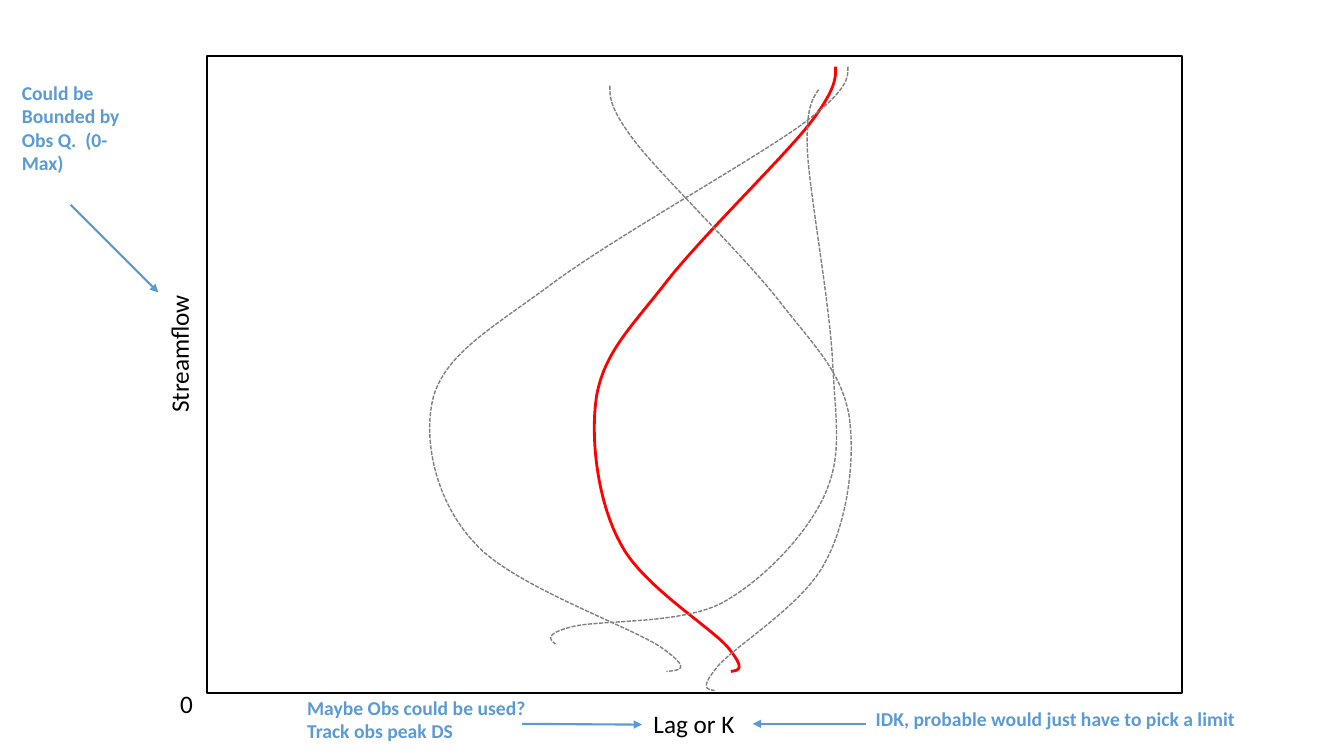
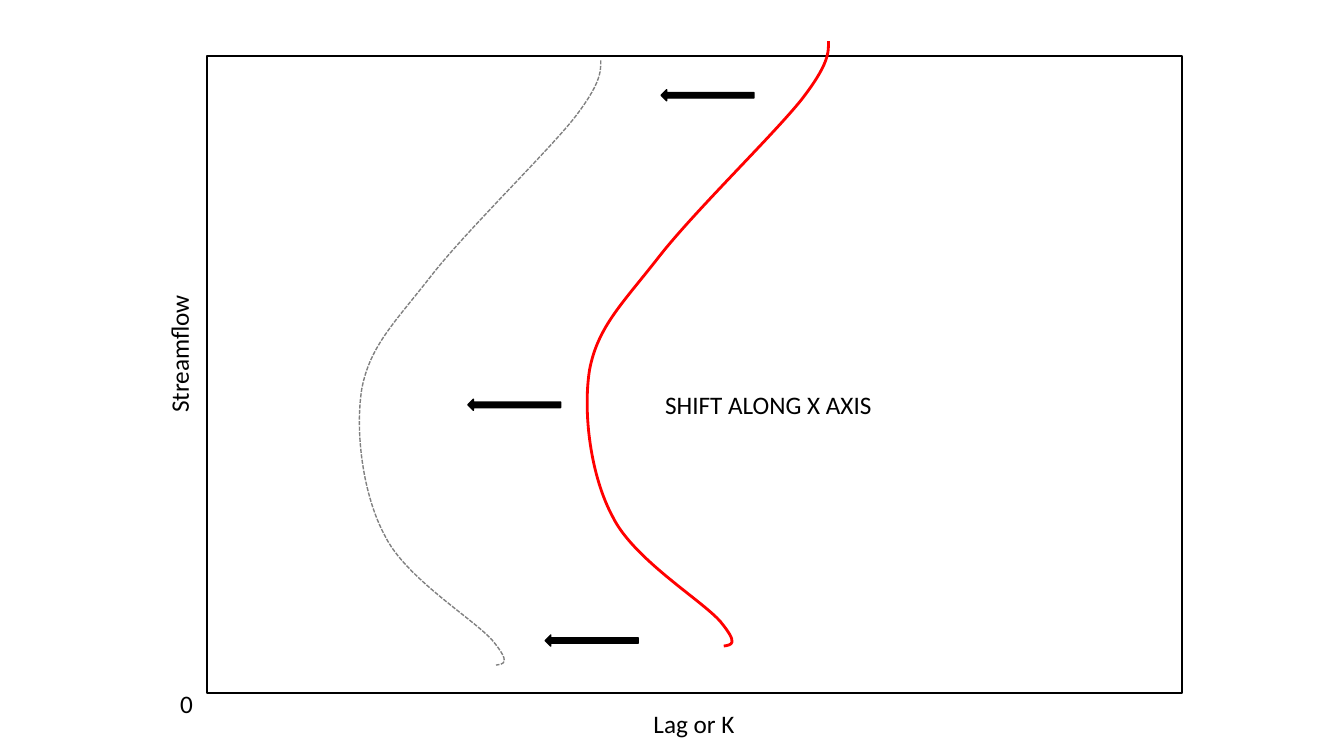
import pptx
import pptx.util
import pptx.dml.color
import pptx.enum.dml
import pptx.enum.shapes
import pptx.enum.text
import pptx.oxml.ns
from lxml import etree

Cm, Pt = pptx.util.Cm, pptx.util.Pt
qn = pptx.oxml.ns.qn
KIND = pptx.enum.shapes.MSO_SHAPE
ALIGN = pptx.enum.text.PP_ALIGN

# Shared style; lengths are in cm
INK = {"black": "000000", "blue": "5B9BD5", "red": "FF0000", "gray": "808080"}
FONT = "Calibri"
FRAME = (5.21, 1.42, 24.59, 16.05)
WIDE, HIGH = 6.07, 15.24

# Curves in percent of their box: a start, then three points per Bezier part
WAVE = [
    (100, 0), (100, 1.8), (100.4, 3.7), (88.7, 9.7),
    (76.6, 15.7), (43.9, 28.3), (29.3, 35.8),
    (14.6, 43.3), (4.2, 47.2), (0.8, 54.3),
    (-2.1, 61.5), (1.3, 72), (10.5, 78.7),
    (19.2, 85.7), (47.7, 92.5), (55.2, 96),
    (62.8, 99.7), (59.8, 99.8), (56.5, 100),
]
MIRROR = [(100 - x, y) for x, y in WAVE]
TWIST = [
    (95.3, 0), (93.1, 1.6), (90.5, 3.3), (91.3, 11.6),
    (92.4, 19.8), (99.6, 39.5), (100.4, 49.8),
    (101.5, 60.2), (104, 66.2), (97.1, 73.5),
    (90.5, 80.5), (74.9, 88.7), (60, 92.7),
    (44.7, 96.5), (16, 95.6), (6.2, 96.9),
    (-3.6, 98.2), (-1.8, 99.1), (0.4, 100),
]


def tint(name):
    return pptx.dml.color.RGBColor.from_string(INK[name])


def stroke(line, ink, size):
    line.color.rgb = tint(ink)
    line.width = Pt(size)


def shift(box, x, y, *size):
    """Place a part by its offset from the corner of a box."""
    return (box[0] + x, box[1] + y, *size)


def label(slide, box, lines, size=18, ink="black", bold=False,
          align=ALIGN.LEFT, turn=0):
    shape = slide.shapes.add_textbox(*map(Cm, box))
    shape.rotation = turn
    frame = shape.text_frame
    frame.word_wrap = True
    frame.auto_size = pptx.enum.text.MSO_AUTO_SIZE.SHAPE_TO_FIT_TEXT
    for num, text in enumerate(lines):
        para = frame.add_paragraph() if num else frame.paragraphs[0]
        para.alignment = align
        run = para.add_run()
        run.text = text
        run.font.name, run.font.size, run.font.bold = FONT, Pt(size), bold
        run.font.color.rgb = tint(ink)


def curve(slide, box, points, ink="gray"):
    left, top, width, height = box
    spots = [(Cm(left + x * width / 100), Cm(top + y * height / 100))
             for x, y in points]
    pen = slide.shapes.build_freeform(*spots[0])
    pen.add_line_segments(spots[1:], close=False)
    shape = pen.convert_to_shape()
    shape.shadow.inherit = False
    shape.fill.background()
    stroke(shape.line, ink, 2 if ink == "red" else 1)
    if ink == "gray":
        shape.line.dash_style = pptx.enum.dml.MSO_LINE.SQUARE_DOT
    # Turn each three segments into one Bezier part
    route = shape.element.xpath(".//a:path")[0]
    steps = route.findall(qn("a:lnTo"))
    for num in range(0, len(steps), 3):
        bend = etree.SubElement(route, qn("a:cubicBezTo"))
        for step in steps[num:num + 3]:
            bend.append(step[0])
            route.remove(step)


def arrow(slide, start, end):
    link = slide.shapes.add_connector(
        pptx.enum.shapes.MSO_CONNECTOR.STRAIGHT, *map(Cm, start + end))
    stroke(link.line, "blue", 1.5)
    etree.SubElement(link.line._get_or_add_ln(), qn("a:tailEnd"), type="triangle")
    etree.SubElement(link.element.spPr, qn("a:effectLst"))


def axes(slide, box):
    # Plot frame
    plot = slide.shapes.add_shape(KIND.RECTANGLE, *map(Cm, box))
    plot.shadow.inherit = False
    plot.fill.background()
    stroke(plot.line, "black", 1.5)
    # Axis names and origin
    base = box[3]
    mid = ALIGN.CENTER
    label(slide, shift(box, -3.81, 6.99, 6.22, 1.02), ["Streamflow"],
          align=mid, turn=270)
    label(slide, shift(box, 9.17, base + 0.26, 6.22, 1.02), ["Lag or K"], align=mid)
    label(slide, shift(box, -1.22, base - 0.25, 1.42, 1.07), ["0"], align=mid)


def bounds(slide, box):
    axes(slide, box)
    # Notes on the limits
    for place, lines in [
        ((-4.91, 0.49, 3.48, 2.64), ["Could be Bounded by Obs Q.  (0-Max)"]),
        ((2.28, 15.98, 8.66, 1.45), ["Maybe Obs could be used?", "Track obs peak DS"]),
        ((16.61, 16.26, 10.74, 0.86), ["IDK, probable would just have to pick a limit"]),
    ]:
        label(slide, shift(box, *place), lines, 14, "blue", True)
    for start, end in [
        ((-3.43, 3.74), (-1.22, 5.95)),
        ((7.95, 16.82), (10.97, 16.84)),
        ((16.61, 16.82), (13.76, 16.82)),
    ]:
        arrow(slide, shift(box, *start), shift(box, *end))
    # Main curve and its options
    curve(slide, shift(box, 9.78, 0.26, WIDE, HIGH), WAVE, "red")
    curve(slide, shift(box, 10.16, 0.74, WIDE, HIGH), MIRROR)
    curve(slide, shift(box, 5.64, 0.26, 10.52, HIGH), WAVE)
    curve(slide, shift(box, 8.76, 0.84, 6.99, 13.97), TWIST)


def slide_x(slide, box):
    axes(slide, box)
    # Curve before and after the shift
    curve(slide, shift(box, 9.6, -0.38, WIDE, HIGH), WAVE, "red")
    curve(slide, shift(box, 3.86, 0.1, WIDE, HIGH), WAVE)
    # Block arrows pointing left
    for x, y in [(6.58, 8.64), (11.45, 0.84), (8.53, 14.58)]:
        block = slide.shapes.add_shape(
            KIND.RIGHT_ARROW, *map(Cm, shift(box, x, y, 2.34, 0.28)))
        block.rotation = 180
        block.shadow.inherit = False
        block.fill.solid()
        block.fill.fore_color.rgb = tint("black")
        stroke(block.line, "black", 1)
    label(slide, shift(box, 11.3, 8.26, 6.2, 1.02), ["SHIFT ALONG X AXIS"])


deck = pptx.Presentation()
deck.slide_width, deck.slide_height = Cm(33.87), Cm(19.05)
for draw in (bounds, slide_x):
    draw(deck.slides.add_slide(deck.slide_layouts[6]), FRAME)
deck.save("out.pptx")
